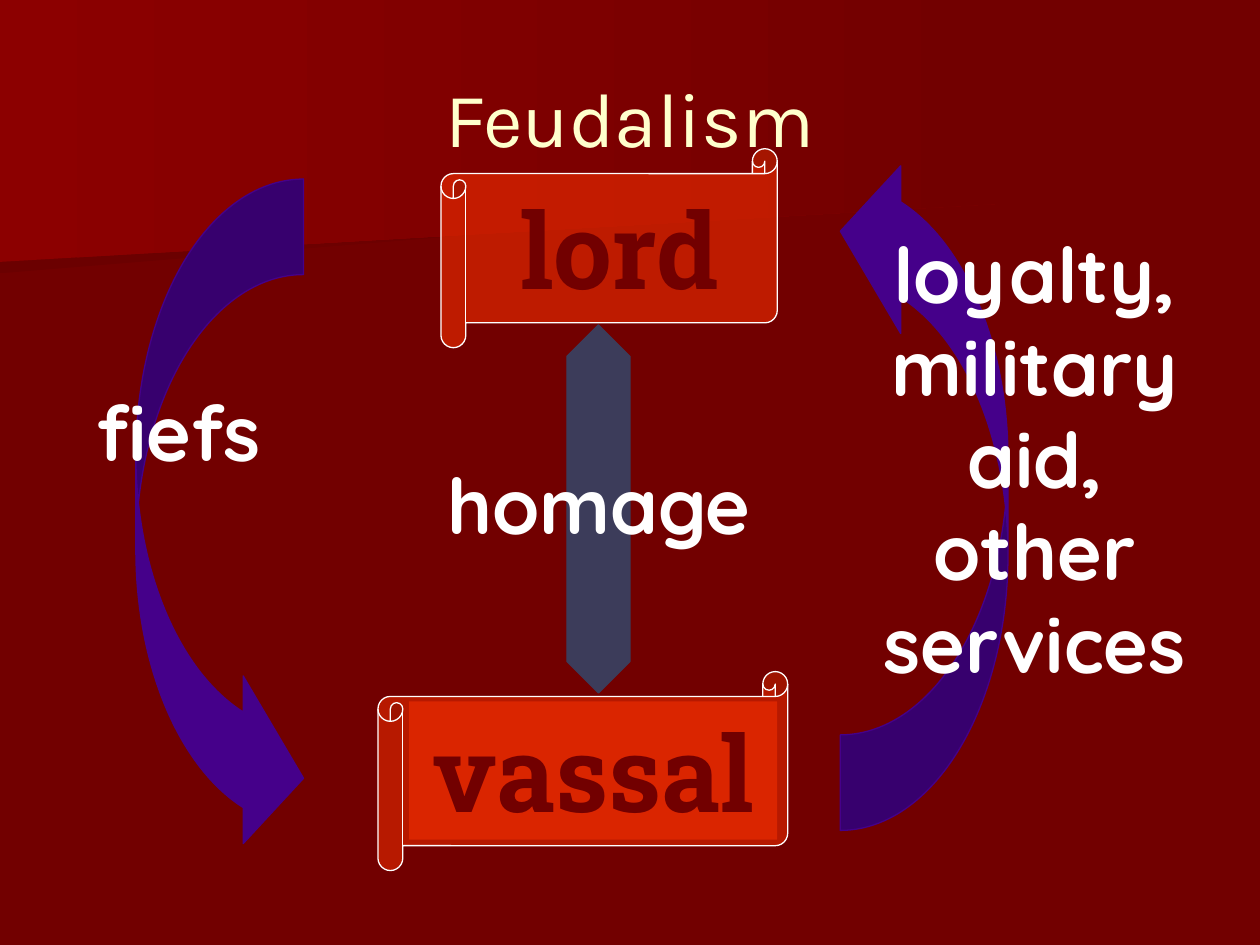
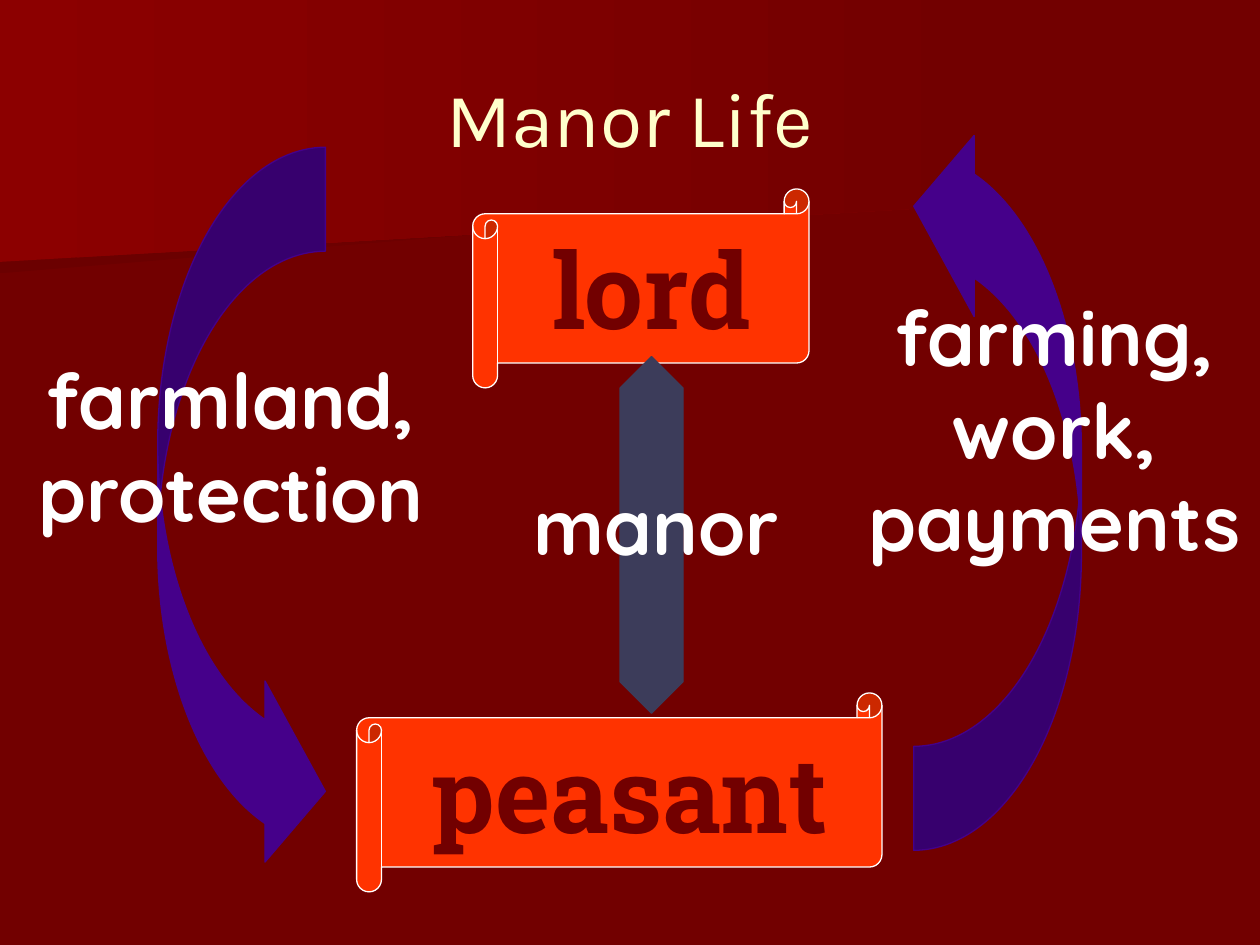
from lxml.etree import SubElement
from pptx import Presentation
from pptx.dml.color import RGBColor
from pptx.enum.shapes import MSO_SHAPE
from pptx.enum.text import MSO_ANCHOR, PP_ALIGN
from pptx.oxml.ns import qn
from pptx.util import Cm, Pt

# Colours
DARK_RED = RGBColor(0x72, 0x00, 0x00)
SHADOW_RED = RGBColor(0x6B, 0x00, 0x00)
LIGHT_RED = RGBColor(0x8C, 0x00, 0x00)
SCROLL_RED = RGBColor(0xFF, 0x33, 0x00)
CREAM = RGBColor(0xFF, 0xFF, 0xCC)
WHITE = RGBColor(0xFF, 0xFF, 0xFF)
SLATE = RGBColor(0x3C, 0x3C, 0x5A)
PURPLE = RGBColor(0x45, 0x00, 0x8A)

# Fonts
TITLE_FONT = "Karla"
SCROLL_FONT = "Roboto Slab"
LABEL_FONT = "Quicksand"

# Corner bands: start colour and outline in centimetres, from back to front
BANDS = [
    (SHADOW_RED, [(19.76, 3.89), (0, 5.51), (0, 2.57), (19.79, 2.57)]),
    (LIGHT_RED, [(20.12, 4.11), (0, 5.28), (0, 0), (20.12, 0)]),
]


def add_band(page, start_colour, points):
    corners = [(Cm(x), Cm(y)) for x, y in points]
    builder = page.shapes.build_freeform(*corners[0])
    builder.add_line_segments(corners[1:])
    band = builder.convert_to_shape()
    band.shadow.inherit = False
    band.line.fill.background()
    band.fill.gradient()
    band.fill.gradient_angle = 0
    for stop, colour in zip(band.fill.gradient_stops, (start_colour, DARK_RED)):
        stop.color.rgb = colour


def write(box, text, font_name, size, colour, bold=True):
    frame = box.text_frame
    frame.word_wrap = True
    para = frame.paragraphs[0]
    para.text = text
    para.alignment = PP_ALIGN.CENTER
    para.font.name = font_name
    para.font.size = Pt(size)
    para.font.bold = bold
    para.font.color.rgb = colour
    return frame


def add_page(deck, title):
    """Add a page with the shared background, bands and title."""
    page = deck.slides.add_slide(deck.slide_layouts[6])
    page.background.fill.solid()
    page.background.fill.fore_color.rgb = DARK_RED
    for start_colour, points in BANDS:
        add_band(page, start_colour, points)
    box = page.shapes.add_textbox(Cm(1.27), Cm(0.76), Cm(22.86), Cm(3.18))
    frame = write(box, title, TITLE_FONT, 44, CREAM, bold=False)
    frame.vertical_anchor = MSO_ANCHOR.MIDDLE
    return page


def add_figure(page, kind, left, top, width, height, colour,
               line=None, adjustments=(), opacity=100):
    figure = page.shapes.add_shape(kind, Cm(left), Cm(top), Cm(width), Cm(height))
    figure.shadow.inherit = False
    for index, value in enumerate(adjustments):
        figure.adjustments[index] = value
    figure.fill.solid()
    figure.fill.fore_color.rgb = colour
    if opacity < 100:
        colour_node = figure.fill._xPr.find(qn("a:solidFill"))[0]
        SubElement(colour_node, qn("a:alpha")).set("val", str(opacity * 1000))
    if line is None:
        figure.line.fill.background()
    else:
        figure.line.color.rgb = line
        figure.line.width = Pt(0.75)
    return figure


def add_scroll(page, name, left, top, width, opacity=100, panel=False):
    """Add a scroll with a name on it, on a tinted panel if asked."""
    add_figure(page, MSO_SHAPE.HORIZONTAL_SCROLL, left, top, width, 4.01,
               SCROLL_RED, WHITE, [0.125], opacity)
    place = (left + 0.63, top + 0.6, width - 0.84, 2.79)
    if panel:
        box = add_figure(page, MSO_SHAPE.RECTANGLE, *place, SCROLL_RED, opacity=opacity)
    else:
        box = page.shapes.add_textbox(*map(Cm, place))
    write(box, name, SCROLL_FONT, 60, DARK_RED)


def add_double_arrow(page, left, top, height, head):
    add_figure(page, MSO_SHAPE.UP_DOWN_ARROW, left, top, 1.27, height,
               SLATE, SLATE, [0.5, head])


def add_cycle(page, left, right, top, height, adjustments):
    """Add the arrow down on the left and its half turn up on the right."""
    for x, y, turn in ((left, top, 0), (right, top - 0.64, 180)):
        arrow = add_figure(page, MSO_SHAPE.CURVED_RIGHT_ARROW, x, y, 3.38, height,
                           PURPLE, PURPLE, adjustments)
        arrow.rotation = turn


def add_label(page, text, left, top, width, lines=1):
    height = 0.27 + 1.86 * lines
    box = page.shapes.add_textbox(Cm(left), Cm(top), Cm(width), Cm(height))
    write(box, text, LABEL_FONT, 44, WHITE)


def add_feudalism(deck):
    page = add_page(deck, "Feudalism")
    add_scroll(page, "lord", 8.89, 3, 6.78, opacity=54)
    add_scroll(page, "vassal", 7.62, 13.54, 8.26, opacity=49, panel=True)
    add_double_arrow(page, 11.43, 6.55, 7.42, head=1.16)
    add_cycle(page, 2.74, 16.94, 3.61, 13.77, [0.57, 1.0, 0.36])
    add_label(page, "homage", 8.05, 9.09, 8.05)
    add_label(page, "fiefs", 0.84, 7.62, 5.51)
    add_label(page, "loyalty, military aid, other services", 17.15, 4.45, 7.42, lines=5)


def add_manor_life(deck):
    page = add_page(deck, "Manor Life")
    add_scroll(page, "lord", 9.53, 3.81, 6.78)
    add_scroll(page, "peasant", 7.19, 13.97, 10.59)
    add_double_arrow(page, 12.5, 7.19, 7.19, head=1.13)
    add_cycle(page, 3.18, 18.42, 2.97, 14.81, [0.62, 1.08, 0.36])
    add_label(page, "farming, work, payments", 16.71, 5.72, 9.09, lines=3)
    add_label(page, "farmland, protection", 0, 6.99, 9.32, lines=2)
    add_label(page, "manor", 9.96, 9.53, 6.55)


def main():
    deck = Presentation()
    deck.slide_width = Cm(25.4)
    deck.slide_height = Cm(19.05)
    add_feudalism(deck)
    add_manor_life(deck)
    deck.save("out.pptx")


if __name__ == "__main__":
    main()
